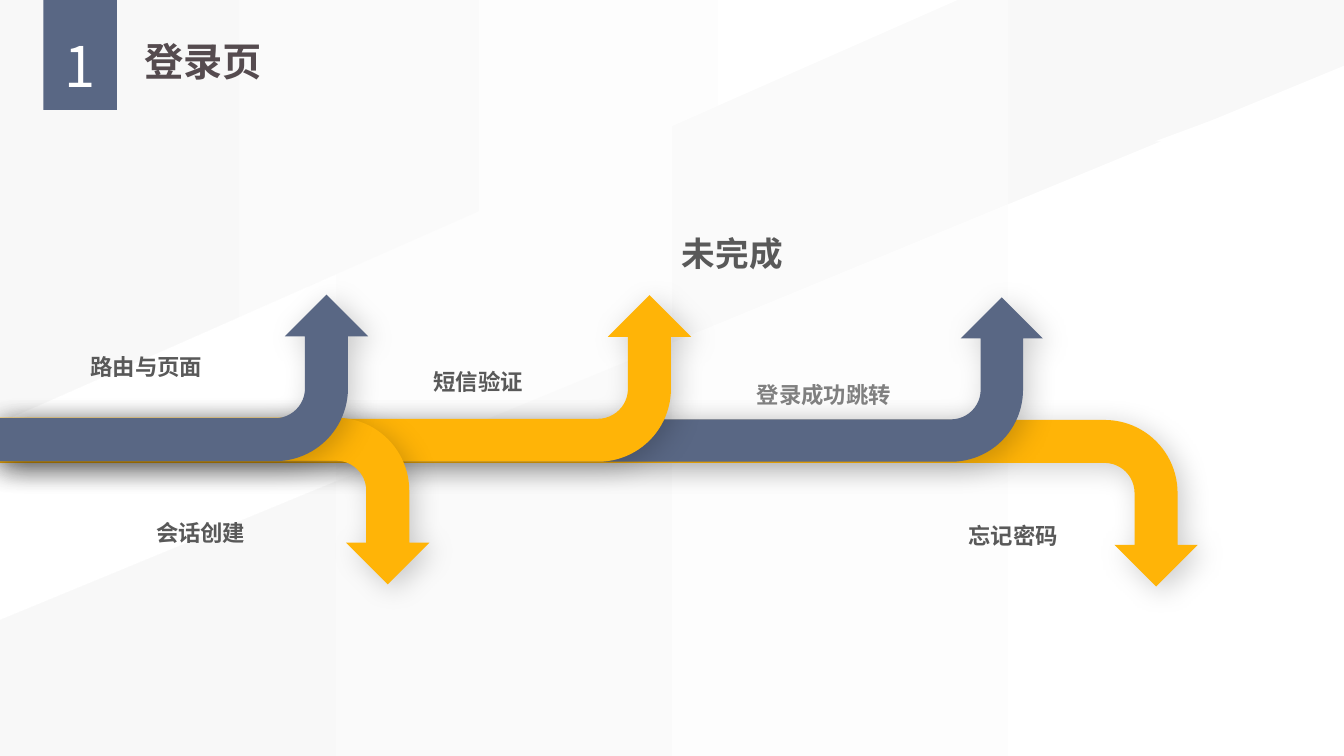
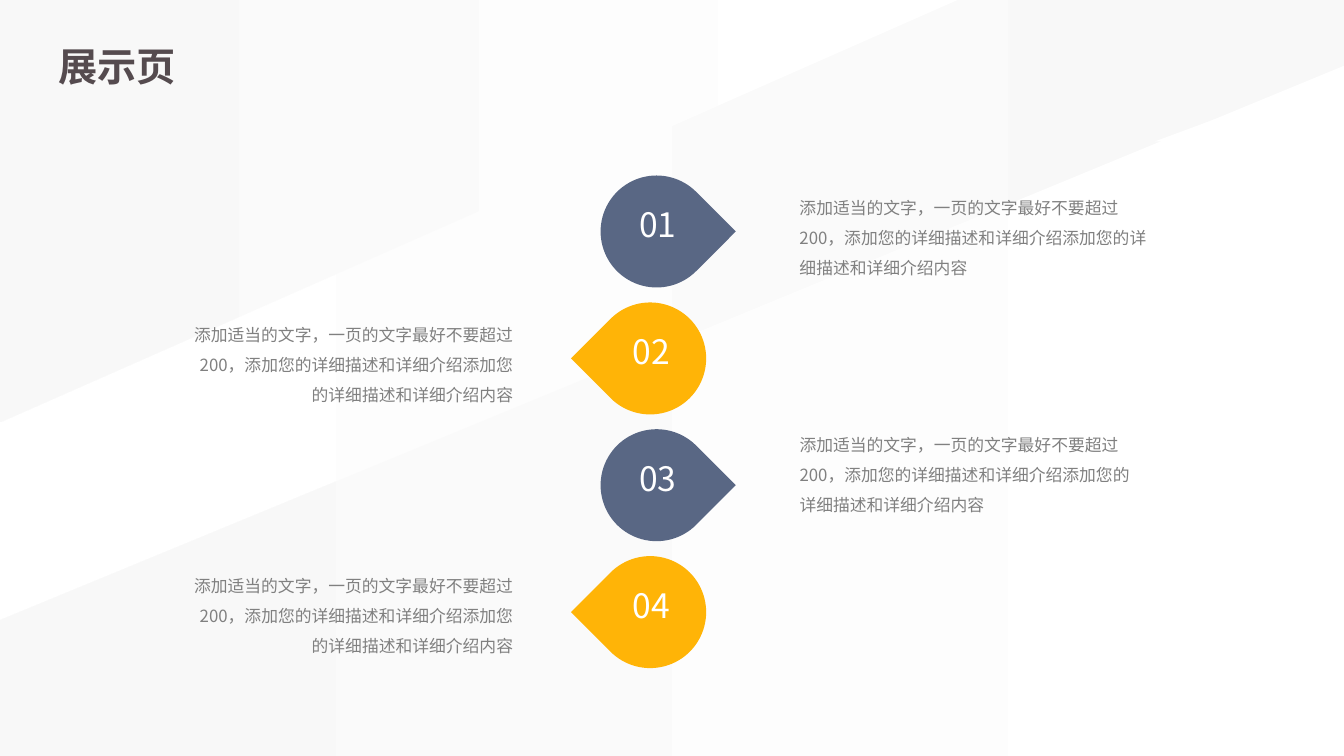
from dataclasses import dataclass

from lxml import etree
from pptx import Presentation
from pptx.dml.color import RGBColor
from pptx.enum.shapes import MSO_SHAPE as Shape
from pptx.enum.text import MSO_ANCHOR as Anchor, PP_ALIGN as Align
from pptx.oxml.ns import qn
from pptx.util import Pt


@dataclass(frozen=True)
class Theme:
    font: str = "Noto Sans CJK SC"
    blue: str = "596784"
    amber: str = "FFB407"
    title: str = "554B4F"
    dark: str = "595959"
    grey: str = "808080"
    white: str = "FFFFFF"
    mist: str = "F8F8F8"
    black: str = "000000"
    number_size: int = 40
    title_size: int = 28
    head_size: int = 24
    label_size: int = 16
    body_size: int = 12


THEME = Theme()
WIDTH, HEIGHT = 960, 540

DESCRIPTION = ("添加适当的文字，一页的文字最好不要超过200，"
               "添加您的详细描述和详细介绍添加您的详细描述和详细介绍内容")


# Shared helpers
def points(*lengths):
    return [Pt(length) for length in lengths]


def paint(shape, color):
    shape.shadow.inherit = False
    shape.fill.solid()
    shape.fill.fore_color.rgb = RGBColor.from_string(color)
    shape.line.fill.background()


def paint_gradient(shape, right, left):
    shape.shadow.inherit = False
    shape.fill.gradient()
    shape.fill.gradient_angle = 180
    for stop, position, color in zip(shape.fill.gradient_stops, (0, 1), (right, left)):
        stop.position = position
        stop.color.rgb = RGBColor.from_string(color)
    shape.line.fill.background()


def write(frame, text, size, color, bold=False, align=Align.LEFT, spacing=1.0,
          anchor=Anchor.TOP):
    frame.text = text
    frame.word_wrap = True
    frame.vertical_anchor = anchor
    paragraph = frame.paragraphs[0]
    paragraph.alignment = align
    paragraph.line_spacing = spacing
    for run in paragraph.runs:
        run.font.name = THEME.font
        run.font.size = Pt(size)
        run.font.bold = bold
        run.font.color.rgb = RGBColor.from_string(color)
        east_asian = etree.SubElement(run.font._element, qn("a:ea"))
        east_asian.set("typeface", THEME.font)


def add_text(slide, box, text, size, color, **style):
    write(slide.shapes.add_textbox(*points(*box)).text_frame, text, size, color, **style)


def add_title(slide, left, top, text):
    title = slide.shapes.title
    title.left, title.top, title.width, title.height = points(left, top, 104, 47)
    write(title.text_frame, text, THEME.title_size, THEME.title, bold=True, spacing=1.3)


# Background of the shared layout
def add_outline(slide, corners):
    start, *rest = [tuple(points(*corner)) for corner in corners]
    builder = slide.shapes.build_freeform(*start)
    builder.add_line_segments(rest, close=True)
    return builder.convert_to_shape()


def move_background_to_layout(slide):
    """Draw the pale facets and hand them to the layout, behind everything."""
    backdrop = slide.shapes.add_shape(Shape.RECTANGLE, *points(0, 0, WIDTH, HEIGHT))
    paint_gradient(backdrop, THEME.mist, THEME.white)
    upper = add_outline(slide, [(0, 0), (684, 0), (0, 301.7)])
    paint_gradient(upper, THEME.white, THEME.mist)
    lower = add_outline(slide, [(0, 443), (WIDTH, 47), (WIDTH, HEIGHT), (0, HEIGHT)])
    paint_gradient(lower, THEME.white, THEME.mist)
    corner = add_outline(slide, [(825, 101), (WIDTH, 51), (WIDTH, 101)])
    paint(corner, THEME.white)
    layout_tree = slide.slide_layout.shapes.element
    for place, facet in enumerate((backdrop, upper, lower, corner), start=2):
        layout_tree.insert(place, facet._element)


# Slide 1: branching road
def add_soft_shadow(shape):
    effects = shape._element.spPr.find(qn("a:effectLst"))
    shadow = etree.SubElement(effects, qn("a:outerShdw"), blurRad=str(Pt(20)),
                              dist=str(Pt(5)), dir=str(45 * 60000),
                              algn="tl", rotWithShape="0")
    color = etree.SubElement(shadow, qn("a:srgbClr"), val=THEME.black)
    etree.SubElement(color, qn("a:alpha"), val="20000")


def add_branch(slide, box, color, upward):
    """Bent arrow that runs from the left of the box and turns up or down."""
    left, top, length, height = box
    frame = (left + (length - height) / 2, top + (height - length) / 2, height, length)
    arrow = slide.shapes.add_shape(Shape.BENT_ARROW, *points(*frame))
    arrow.rotation = 90
    if upward:
        arrow._element.spPr.find(qn("a:xfrm")).set("flipH", "1")
    for index, value in enumerate((0.258, 0.25, 0.25, 0.438)):
        arrow.adjustments[index] = value
    paint(arrow, color)
    add_soft_shadow(arrow)


def add_section_number(slide, box, number):
    tab = slide.shapes.add_shape(Shape.RECTANGLE, *points(*box))
    paint(tab, THEME.blue)
    frame = tab.text_frame
    frame.margin_left = frame.margin_right = frame.margin_bottom = 0
    frame.margin_top = Pt(8)
    write(frame, number, THEME.number_size, THEME.white, align=Align.CENTER, spacing=1.3)


def build_login_slide(slide):
    add_title(slide, 95.8, 13, "登录页")
    add_section_number(slide, (31, 0, 52.5, 78.5), "1")

    # Branches, longest first so that shorter ones lie on top
    for box, color, upward in (
        ((0, 300, 855.5, 119), THEME.amber, False),
        ((0, 212.4, 745, 117.4), THEME.blue, True),
        ((-15.3, 210.8, 509, 119), THEME.amber, True),
        ((0, 298.4, 306.7, 119), THEME.amber, False),
        ((0, 210.4, 263, 119), THEME.blue, True),
    ):
        add_branch(slide, box, color, upward)

    # Branch labels
    for left, top, label, color in (
        (57.6, 239, "路由与页面", THEME.dark),
        (302.6, 250, "短信验证", THEME.dark),
        (533.5, 259.2, "登录成功跳转", THEME.grey),
        (684.7, 360, "忘记密码", THEME.dark),
        (104.4, 357.5, "会话创建", THEME.dark),
    ):
        add_text(slide, (left, top, 150, 33), label, THEME.label_size, color,
                 bold=True, spacing=1.5)
    add_text(slide, (480, 162.7, 224, 36), "未完成", THEME.head_size, THEME.dark, bold=True)


# Slide 2: numbered drops
def add_drop(slide, center_x, center_y, number, color, turn):
    size = 80
    drop = slide.shapes.add_shape(
        Shape.TEAR, *points(center_x - size / 2, center_y - size / 2, size, size))
    drop.rotation = turn
    paint(drop, color)
    number_box = (center_x - 24, center_y - 23, 50, 36)
    add_text(slide, number_box, number, THEME.head_size, THEME.white,
             align=Align.CENTER, anchor=Anchor.MIDDLE)


def build_showcase_slide(slide):
    add_title(slide, 34.5, 16.5, "展示页")
    first_center, pitch = 165.4, 90.6
    descriptions = ((564, 130.3, 272), (125.7, 221, 248),
                    (564, 299.5, 262), (125.7, 400.3, 248))
    for index, (left, top, width) in enumerate(descriptions):
        center_y = first_center + index * pitch
        number = f"{index + 1:02d}"
        if index % 2 == 0:
            add_drop(slide, 469, center_y, number, THEME.blue, 45)
            align = Align.LEFT
        else:
            add_drop(slide, 464.4, center_y, number, THEME.amber, 225)
            align = Align.RIGHT
        add_text(slide, (left, top, width, 94.3), DESCRIPTION, THEME.body_size,
                 THEME.grey, align=align, spacing=1.5)


def main():
    deck = Presentation()
    deck.slide_width, deck.slide_height = points(WIDTH, HEIGHT)
    title_only = deck.slide_layouts[5]
    login, showcase = (deck.slides.add_slide(title_only) for _ in range(2))
    move_background_to_layout(login)
    build_login_slide(login)
    build_showcase_slide(showcase)
    deck.save("out.pptx")


if __name__ == "__main__":
    main()
